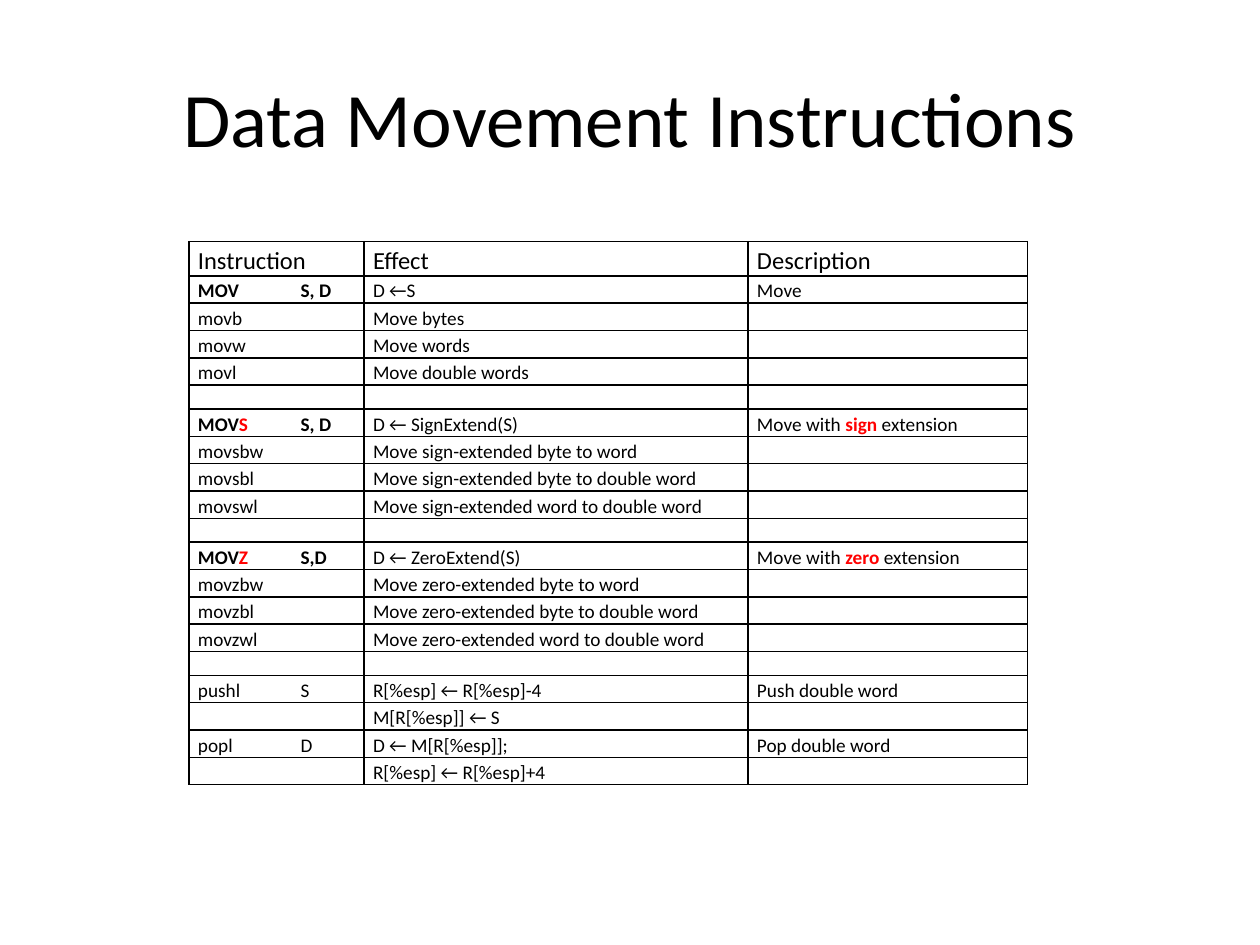
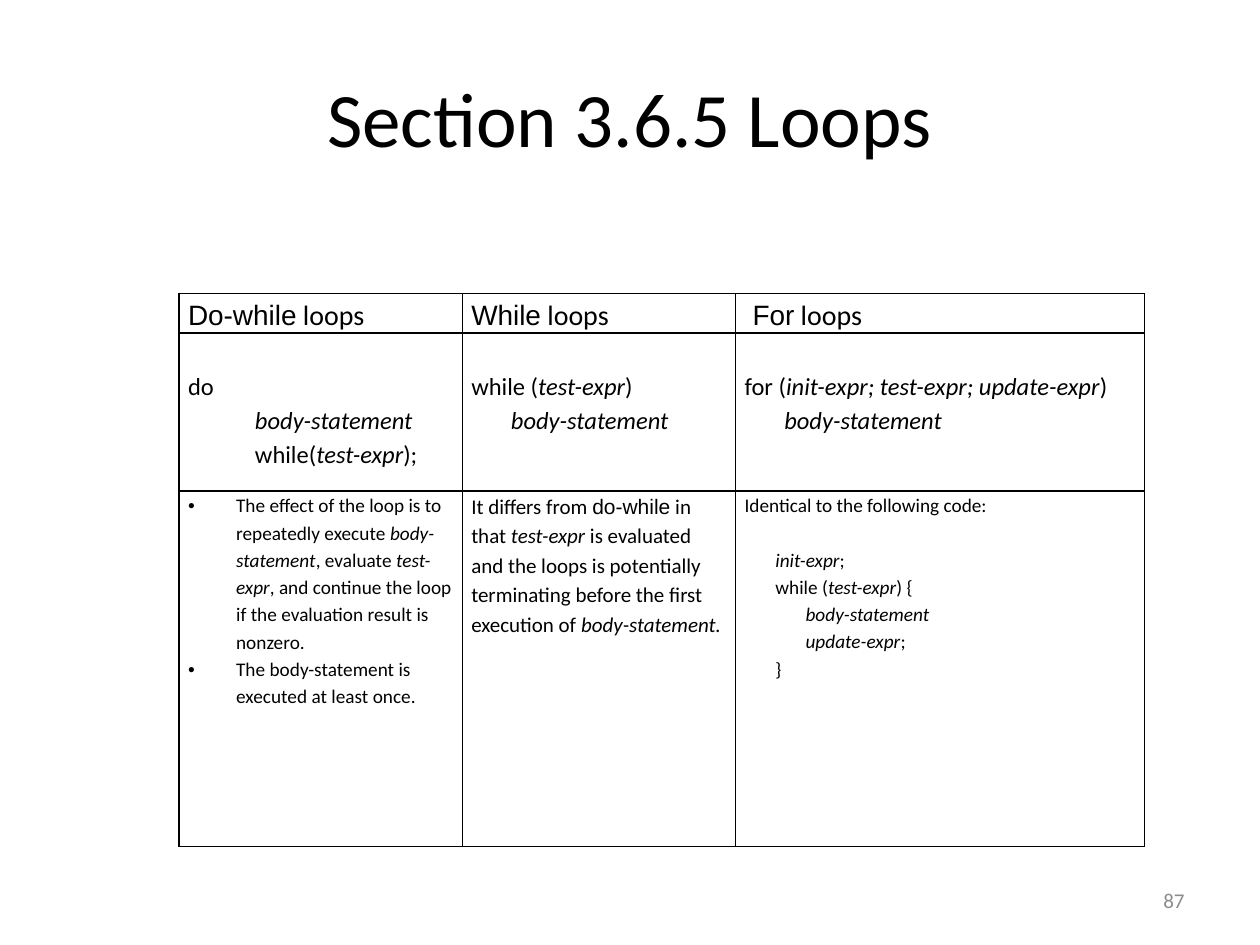
"""Build two slides: a table of data movement instructions and a table of loop forms."""
from lxml import etree
from pptx import Presentation
from pptx.dml.color import RGBColor
from pptx.enum import text
from pptx.oxml import ns
from pptx.util import Cm, Pt

BLACK = RGBColor(0x00, 0x00, 0x00)
RED = RGBColor(0xFF, 0x00, 0x00)
GREY = RGBColor(0x8C, 0x8C, 0x8C)
BODY_FONT, CODE_FONT = "Calibri", "Arial"
LINE_SPACING = 1.15

BOLD = {"bold": True}
ITALIC = {"italic": True}
ALERT = {"bold": True, "color": RED}
CODE = {"font": CODE_FONT}
OPERAND_TAB = 2.07

INSTRUCTIONS_TITLE = "Data Movement Instructions"
INSTRUCTION_HEADINGS = ["Instruction", "Effect", "Description"]
INSTRUCTION_ROWS = [
    [[("MOV\tS, D", BOLD)], "D ←S", "Move"],
    ["movb", "Move bytes", ""],
    ["movw", "Move words", ""],
    ["movl", "Move double words", ""],
    ["", "", ""],
    [[("MOV", BOLD), ("S", ALERT), ("\tS, D", BOLD)], "D ← SignExtend(S)",
     ["Move with ", ("sign", ALERT), " extension"]],
    ["movsbw", "Move sign-extended byte to word", ""],
    ["movsbl", "Move sign-extended byte to double word", ""],
    ["movswl", "Move sign-extended word to double word", ""],
    ["", "", ""],
    [[("MOV", BOLD), ("Z", ALERT), ("\tS,D", BOLD)], "D ← ZeroExtend(S)",
     ["Move with ", ("zero", ALERT), " extension"]],
    ["movzbw", "Move zero-extended byte to word", ""],
    ["movzbl", "Move zero-extended byte to double word", ""],
    ["movzwl", "Move zero-extended word to double word", ""],
    ["", "", ""],
    ["pushl\tS", "R[%esp] ← R[%esp]-4", "Push double word"],
    ["", "M[R[%esp]] ← S", ""],
    ["popl\tD", "D ← M[R[%esp]];", "Pop double word"],
    ["", "R[%esp] ← R[%esp]+4", ""],
]

LOOPS_TITLE = "Section 3.6.5 Loops"
PAGE_NUMBER = "87"
TEST = ("test-expr", ITALIC)
STATEMENT = ("body-statement", ITALIC)
LOOP_HEADINGS = [
    [([("Do-while", CODE), " loops"], {})],
    [([("While", CODE), " loops"], {})],
    [([("For", CODE), " loops"], {"indent": 0.16})],
]
LOOP_SYNTAX = [
    [("do", {}),
     ([STATEMENT], {"indent": 1.35}),
     (["while(", TEST, ");"], {"indent": 1.35})],
    [(["while (", TEST, ")"], {}),
     ([STATEMENT], {"indent": 0.8})],
    [(["for (", ("init-expr; test-expr; update-expr", ITALIC), ")"], {}),
     ([STATEMENT], {"indent": 0.8})],
]
LOOP_NOTES = [
    [(["The effect of the loop is to repeatedly execute ", STATEMENT, ", evaluate ", TEST,
       ", and continue the loop if the evaluation result is nonzero."], {"bullet": "•"}),
     ("The body-statement is executed at least once.", {"bullet": "•"})],
    [(["It differs from ", ("do-while", CODE), " in that ", TEST,
       " is evaluated and the loops is potentially terminating before the first execution of ",
       ("body-statement.", ITALIC)], {"size": 12})],
    [("Identical to the following code:", {}),
     ([("init-expr", ITALIC), ";"], {"indent": 0.62, "before": 15.4}),
     (["while (", TEST, ") {"], {"indent": 0.62}),
     ([STATEMENT], {"indent": 1.23}),
     ([("update-expr", ITALIC), ";"], {"indent": 1.23}),
     ("}", {"indent": 0.62})],
]


def child(parent, tag, **attributes):
    return etree.SubElement(parent, ns.qn(tag), {k: str(v) for k, v in attributes.items()})


def write(paragraph, runs, size, color=BLACK, align=None, spacing=None, before=None,
          indent=0, bullet=None, tab=None):
    """Fill a paragraph with runs, each a string or a (string, style) pair."""
    if not runs:
        paragraph._p.get_or_add_endParaRPr().set("sz", str(size * 100))
        return
    paragraph.alignment = align
    paragraph.line_spacing = spacing
    if before:
        paragraph.space_before = Pt(before)
    properties = paragraph._p.get_or_add_pPr()
    if bullet:
        indent = 0.97
        properties.set("indent", str(-Cm(indent)))
        child(properties, "a:buFont", typeface=CODE_FONT)
        child(properties, "a:buChar", char=bullet)
    if indent:
        properties.set("marL", str(Cm(indent)))
    if tab:
        child(child(properties, "a:tabLst"), "a:tab", pos=Cm(tab), algn="l")
    for part in [runs] if isinstance(runs, str) else runs:
        words, style = (part, {}) if isinstance(part, str) else part
        run = paragraph.add_run()
        run.text = words
        run.font.size = Pt(size)
        run.font.name = style.get("font", BODY_FONT)
        run.font.bold = style.get("bold", False)
        run.font.italic = style.get("italic", False)
        run.font.color.rgb = style.get("color", color)


def add_titled_slide(deck, heading):
    slide = deck.slides.add_slide(deck.slide_layouts[5])
    title = slide.shapes.title
    title.left, title.top, title.width, title.height = Cm(1.27), Cm(0.76), Cm(22.86), Cm(3.18)
    title.text_frame.vertical_anchor = text.MSO_ANCHOR.MIDDLE
    write(title.text_frame.paragraphs[0], heading, 44, align=text.PP_ALIGN.CENTER)
    return slide


def add_grid(slide, left, top, widths, heights):
    """Add an unfilled table with thin black borders."""
    grid = slide.shapes.add_table(len(heights), len(widths), Cm(left), Cm(top),
                                  Cm(sum(widths)), Cm(sum(heights))).table
    grid.first_row = grid.horz_banding = False
    for column, width in zip(grid.columns, widths):
        column.width = Cm(width)
    for row, height in zip(grid.rows, heights):
        row.height = Cm(height)
    for cell in grid.iter_cells():
        cell.margin_left = cell.margin_right = Cm(0.18)
        cell.margin_top = cell.margin_bottom = 0
        properties = cell._tc.get_or_add_tcPr()
        for side in ("a:lnL", "a:lnR", "a:lnT", "a:lnB"):
            border = child(properties, side, w=Pt(1))
            child(child(border, "a:solidFill"), "a:srgbClr", val=BLACK)
        cell.fill.background()
    return grid


def write_cell(cell, paragraphs, size):
    frame = cell.text_frame
    for number, (runs, style) in enumerate(paragraphs):
        paragraph = frame.add_paragraph() if number else frame.paragraphs[0]
        write(paragraph, runs, **{"size": size, "spacing": LINE_SPACING, **style})


def build_instructions(deck):
    slide = add_titled_slide(deck, INSTRUCTIONS_TITLE)
    heights = [0.69] + [0.54 if any(row) else 0.47 for row in INSTRUCTION_ROWS]
    grid = add_grid(slide, 3.81, 4.87, [3.53, 7.74, 5.63], heights)
    for r, row in enumerate([INSTRUCTION_HEADINGS] + INSTRUCTION_ROWS):
        for c, runs in enumerate(row):
            style = {} if c else {"tab": OPERAND_TAB}
            write_cell(grid.cell(r, c), [(runs, style)], 11 if r else 14)


def build_loops(deck):
    slide = add_titled_slide(deck, LOOPS_TITLE)
    grid = add_grid(slide, 3.61, 5.92, [5.71, 5.51, 8.24], [0.79, 3.18, 7.17])
    for r, (row, size) in enumerate([(LOOP_HEADINGS, 16), (LOOP_SYNTAX, 14), (LOOP_NOTES, 11)]):
        for c, paragraphs in enumerate(row):
            cell = grid.cell(r, c)
            write_cell(cell, paragraphs, size)
            if row is LOOP_SYNTAX:
                cell.margin_top = Cm(0.69)
    page = slide.shapes.add_textbox(Cm(18.2), Cm(17.65), Cm(5.93), Cm(1.01)).text_frame
    page.word_wrap = True
    page.vertical_anchor = text.MSO_ANCHOR.MIDDLE
    write(page.paragraphs[0], PAGE_NUMBER, 12, color=GREY, align=text.PP_ALIGN.RIGHT)


def main():
    deck = Presentation()
    deck.slide_width, deck.slide_height = Cm(25.4), Cm(19.05)
    build_instructions(deck)
    build_loops(deck)
    deck.save("out.pptx")


if __name__ == "__main__":
    main()
